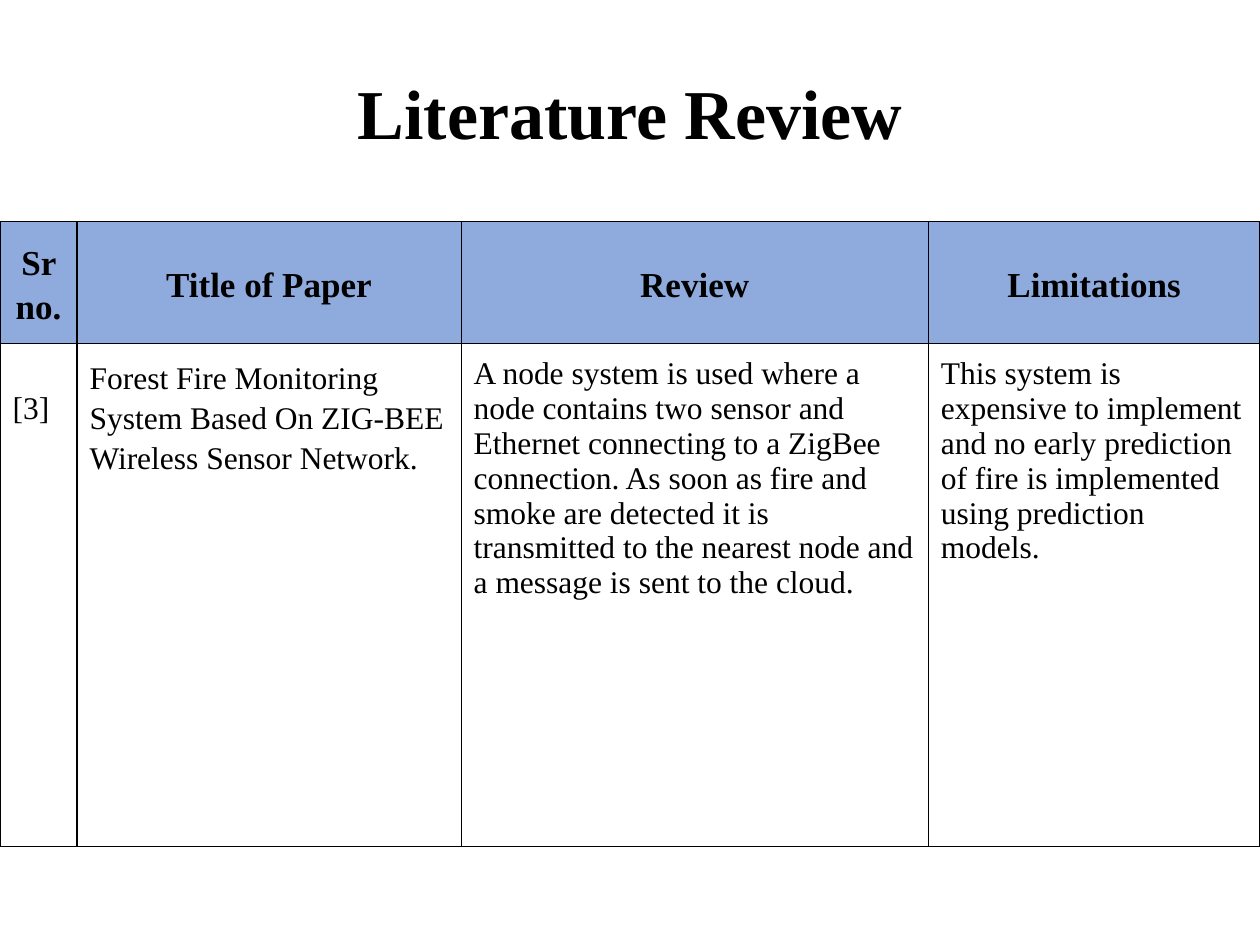
from lxml.etree import SubElement as Sub
from pptx import Presentation
from pptx.dml.color import RGBColor as RGB
from pptx.enum.text import MSO_ANCHOR as Anchor, PP_ALIGN as Align
from pptx.oxml.ns import qn
from pptx.util import Pt

BLACK = RGB(0, 0, 0)
WHITE = RGB(255, 255, 255)
BLUE = RGB(0x8F, 0xAA, 0xDC)


def write(frame, text, font="Times New Roman", size=18, bold=False,
          color=BLACK, align=Align.LEFT, space=1.0):
    frame.word_wrap = True
    para = frame.paragraphs[0]
    para.alignment = align
    para.line_spacing = space
    run = para.add_run()
    run.text = text
    run.font.name = font
    run.font.size = Pt(size)
    run.font.bold = bold
    run.font.color.rgb = color


class Deck:
    head = dict(size=20, bold=True, align=Align.CENTER, space=1.15)
    line = 0.75

    def __init__(self, width, height):
        self.show = Presentation()
        self.show.slide_width = Pt(width)
        self.show.slide_height = Pt(height)
        self.slide = self.show.slides.add_slide(self.show.slide_layouts[6])

    def title(self, text, left, top, width, height):
        box = self.slide.shapes.add_textbox(
            Pt(left), Pt(top), Pt(width), Pt(height))
        box.text_frame.vertical_anchor = Anchor.MIDDLE
        write(box.text_frame, text, size=40, bold=True,
              align=Align.CENTER, space=0.9)

    def cell(self, cell, text, fill, side, top, base, anchor, **form):
        cell.margin_left = cell.margin_right = Pt(side)
        cell.margin_top, cell.margin_bottom = Pt(top), Pt(base)
        cell.vertical_anchor = anchor
        write(cell.text_frame, text, **form)
        props = cell._tc.get_or_add_tcPr()
        for edge in ("a:lnL", "a:lnR", "a:lnT", "a:lnB"):
            line = Sub(props, qn(edge), w=str(Pt(self.line)))
            paint = Sub(line, qn("a:solidFill"))
            Sub(paint, qn("a:srgbClr"), val=str(BLACK))
        cell.fill.solid()
        cell.fill.fore_color.rgb = fill

    def table(self, left, top, widths, heights, heads, body):
        grid = self.slide.shapes.add_table(
            len(heights), len(widths), Pt(left), Pt(top),
            Pt(sum(widths)), Pt(sum(heights))).table
        grid.first_row = grid.horz_banding = False
        for col, width in zip(grid.columns, widths):
            col.width = Pt(width)
        for row, height in zip(grid.rows, heights):
            row.height = Pt(height)
        for col, text in enumerate(heads):
            self.cell(grid.cell(0, col), text, BLUE, 5, 0, 0,
                      Anchor.MIDDLE, **self.head)
        for col, (text, inset, space) in enumerate(body):
            self.cell(grid.cell(1, col), text, WHITE, 7.2, inset, 7.2,
                      Anchor.TOP, space=space)


deck = Deck(720, 540)
deck.title("Literature Review", 0, 21.6, 720, 90)
deck.table(
    0, 126.5, [44, 219.5, 267, 189.5], [70, 287],
    ["Sr no.", "Title of Paper", "Review", "Limitations"],
    [("[3]", 27, 1.0),
     ("Forest Fire Monitoring System Based On ZIG-BEE Wireless Sensor "
      "Network.", 7.2, 1.15),
     ("A node system is used where a node contains two sensor and Ethernet "
      "connecting to a ZigBee connection. As soon as fire and smoke are "
      "detected it is transmitted to the nearest node and a message is sent "
      "to the cloud.", 7.2, 1.0),
     ("This system is expensive to implement and no early prediction of fire "
      "is implemented using prediction models.", 7.2, 1.0)])
deck.show.save("out.pptx")
